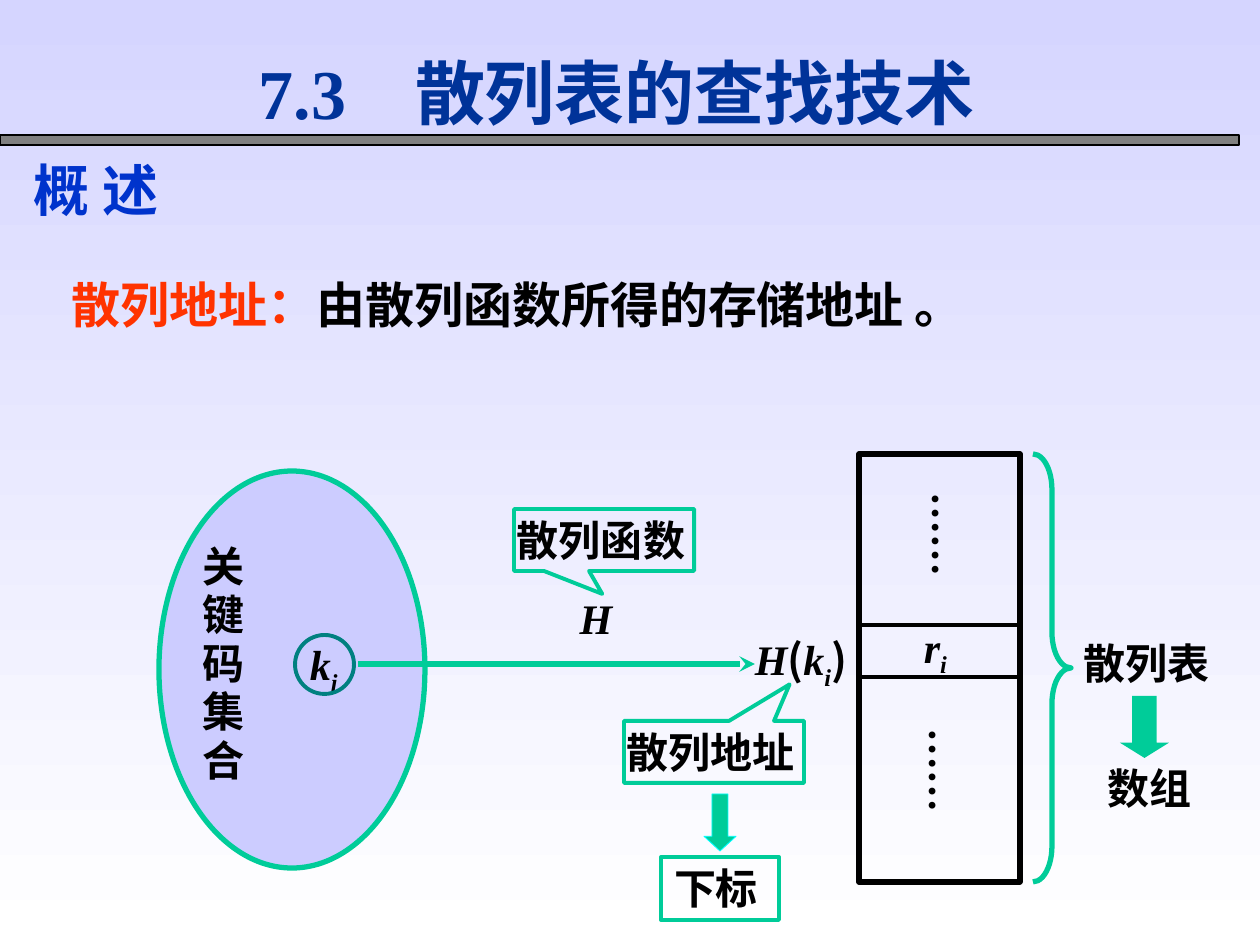
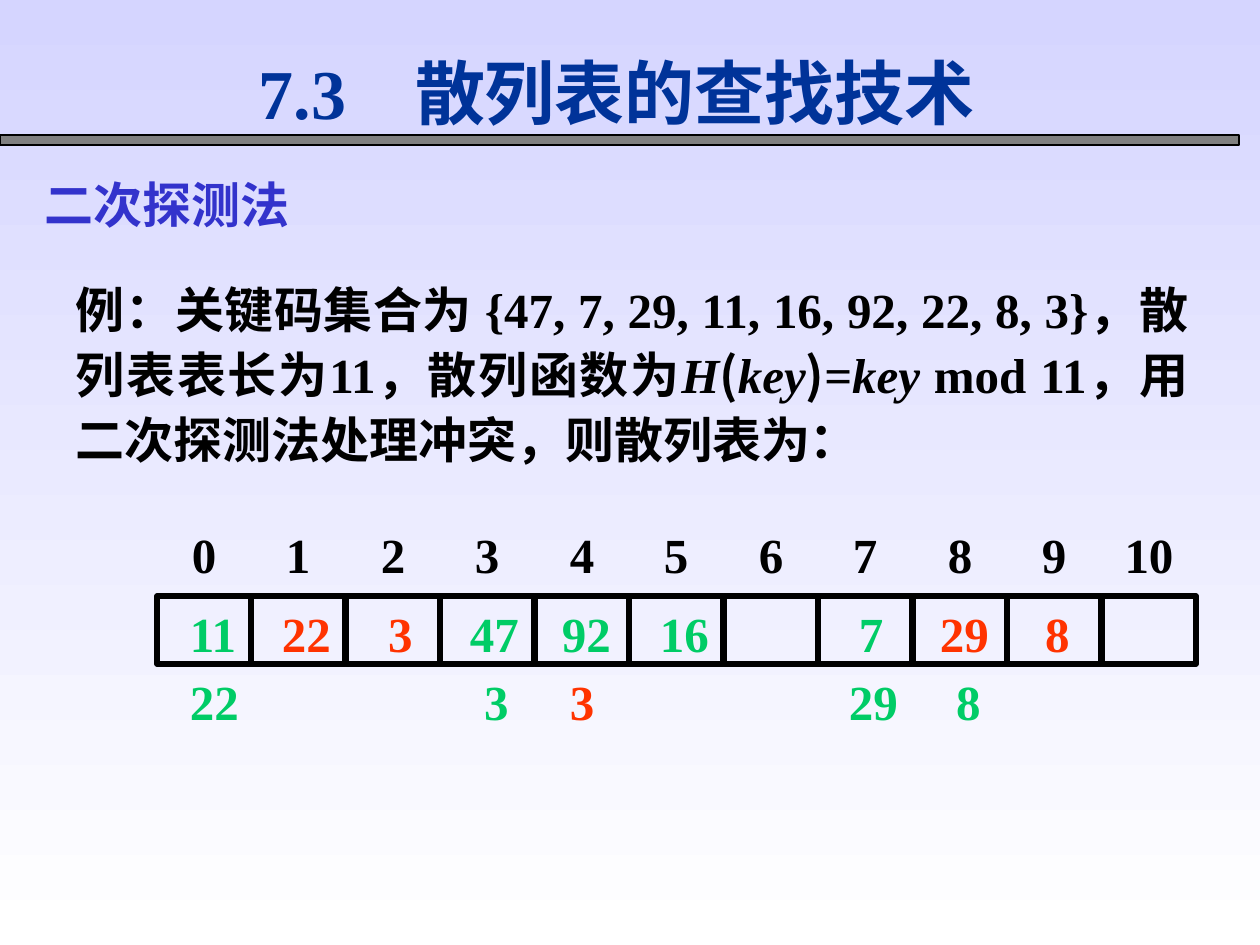
from lxml.etree import SubElement
from pptx import Presentation
from pptx.dml.color import RGBColor
from pptx.enum.shapes import MSO_CONNECTOR, MSO_SHAPE
from pptx.enum.text import MSO_ANCHOR, MSO_AUTO_SIZE, PP_ALIGN
from pptx.oxml import parse_xml
from pptx.oxml.ns import nsdecls, qn
from pptx.util import Inches, Pt

SCALE = Inches(1) / 126
COLOURS = {
    "sky": "D5D5FF", "white": "FFFFFF", "grey": "808080", "black": "000000",
    "title": "003399", "heading": "0033CC", "method": "3333CC",
    "red": "FF3300", "green": "00CC66", "teal": "00CC99",
    "dark teal": "008080", "cyan": "00FFFF", "lilac": "CCCCFF",
}
SERIF, SANS, CHINESE = "Times New Roman", "Arial", "Noto Sans CJK SC"
TITLE = "7.3\t散列表的查找技术"
TIGHT = (3, 0, 3, 0)
DOT_INSETS = (0, 3, 5, 3)
NO_INSETS = (0, 0, 0, 0)
ITALIC = {"italic": True}
SUBSCRIPT = {"italic": True, "subscript": True}
BRACKET = {"font": CHINESE}
CELL_COUNT, TABLE_LEFT, CELL_TOP = 11, 157, 596
KEYS = [
    ("11", 190, "green"), ("22", 282, "red"), ("3", 388, "red"),
    ("47", 470, "green"), ("92", 562, "green"), ("16", 660, "green"),
    ("7", 859, "green"), ("29", 940, "red"), ("8", 1045, "red"),
]
COLLISIONS = [
    ("22", 190, "green"), ("3", 484, "green"), ("3", 570, "red"),
    ("29", 849, "green"), ("8", 956, "green"),
]


def px(value):
    """Turn pixels into EMU."""
    return round(value * SCALE)


def colour_of(name):
    """Return the named colour."""
    return RGBColor.from_string(COLOURS[name])


def format_run(run, size, colour, font, italic=False, subscript=False, shadow=False):
    """Set the character format of one run."""
    run.font.size = Pt(size)
    run.font.bold = True
    run.font.italic = italic
    run.font.color.rgb = colour_of(colour)
    run.font.name = font
    properties = run._r.get_or_add_rPr()
    latin = properties.find(qn("a:latin"))
    latin.addnext(parse_xml(f'<a:ea {nsdecls("a")} typeface="{CHINESE}"/>'))
    if subscript:
        properties.set("baseline", "-25000")
    if shadow:
        latin.addprevious(parse_xml(
            f'<a:effectLst {nsdecls("a")}><a:outerShdw dist="25400" dir="2700000">'
            f'<a:srgbClr val="{COLOURS["grey"]}"/></a:outerShdw></a:effectLst>'))


def write(shape, runs, size=24, colour="black", font=SERIF, align=PP_ALIGN.LEFT,
          anchor=MSO_ANCHOR.TOP, insets=(13, 6, 13, 6), spacing=1.0,
          tabs=(), tab_align="l", vertical=False, shadow=False):
    """Fill a shape with one paragraph of formatted runs."""
    frame = shape.text_frame
    frame.word_wrap = True
    frame.auto_size = MSO_AUTO_SIZE.NONE
    frame.vertical_anchor = anchor
    frame.margin_left, frame.margin_top, frame.margin_right, frame.margin_bottom = map(px, insets)
    if vertical:
        frame._txBody.bodyPr.set("vert", "eaVert")
    paragraph = frame.paragraphs[0]
    if tabs:
        tab_list = SubElement(paragraph._p.get_or_add_pPr(), qn("a:tabLst"))
        for position in tabs:
            SubElement(tab_list, qn("a:tab"), pos=str(px(position)), algn=tab_align)
    paragraph.alignment = align
    paragraph.line_spacing = spacing
    paragraph.space_before = Pt(0)
    for item in [(runs, {})] if isinstance(runs, str) else runs:
        text, changes = item
        run = paragraph.add_run()
        run.text = text
        format_run(run, **{"size": size, "colour": colour, "font": font,
                           "shadow": shadow, **changes})


def place(shape, left, top, width, height):
    """Move and size a shape in pixels."""
    shape.left, shape.top, shape.width, shape.height = map(px, (left, top, width, height))


def add_text(slide, box, runs, **text_format):
    """Add a text box."""
    write(slide.shapes.add_textbox(*map(px, box)), runs, **text_format)


def add_figure(slide, kind, box, line=None, width=2.25, fill=None, adjustments=()):
    """Add a preset shape with its fill and outline."""
    shape = slide.shapes.add_shape(kind, *map(px, box))
    shape.shadow.inherit = False
    for index, value in enumerate(adjustments):
        shape.adjustments[index] = value
    if fill:
        shape.fill.solid()
        shape.fill.fore_color.rgb = colour_of(fill)
    else:
        shape.fill.background()
    if line:
        shape.line.color.rgb = colour_of(line)
        shape.line.width = Pt(width)
    else:
        shape.line.fill.background()
    return shape


def add_line(slide, start, end, colour, width, arrow=False):
    """Add a straight line, with an arrowhead if asked."""
    connector = slide.shapes.add_connector(MSO_CONNECTOR.STRAIGHT, *map(px, start + end))
    connector.line.color.rgb = colour_of(colour)
    connector.line.width = Pt(width)
    if arrow:
        SubElement(connector.line._get_or_add_ln(), qn("a:tailEnd"), type="stealth")
    SubElement(connector.element.spPr, qn("a:effectLst"))


def add_callout(slide, box, text, adjustments):
    """Add a callout that names a part of the diagram."""
    callout = add_figure(slide, MSO_SHAPE.RECTANGULAR_CALLOUT, box, "teal",
                         adjustments=adjustments)
    write(callout, text, font=SANS, anchor=MSO_ANCHOR.MIDDLE, insets=(3, 1, 3, 1))


def add_content_slide(presentation, body_box, body_runs, **body_format):
    """Add a slide with the shared title and a body paragraph."""
    slide = presentation.slides.add_slide(presentation.slide_layouts[1])
    title, body = slide.placeholders
    place(title, 246, 44, 757, 95)
    write(title, TITLE, size=40, colour="title", anchor=MSO_ANCHOR.MIDDLE, tabs=[156])
    place(body, *body_box)
    properties = body.text_frame.paragraphs[0]._p.get_or_add_pPr()
    properties.set("marL", "0")
    properties.set("indent", "0")
    SubElement(properties, qn("a:buNone"))
    write(body, body_runs, size=28, **body_format)
    return slide


def decorate_master(presentation, slide):
    """Give the master its gradient and the bar under the title."""
    master = presentation.slide_master
    fill = master.background.fill
    fill.gradient()
    fill.gradient_angle = 270
    for stop, name in zip(fill.gradient_stops, ("sky", "white")):
        stop.color.rgb = colour_of(name)
    bar = add_figure(slide, MSO_SHAPE.RECTANGLE, (0, 135, 1239, 10), "black", 0.75, "grey")
    bar.element.nvSpPr.cNvPr.set("id", "20")
    master.shapes.element.append(bar.element)


def draw_key_set(slide):
    """Draw the key set and the hash arrow that leaves it."""
    add_figure(slide, MSO_SHAPE.OVAL, (159, 471, 266, 397), "teal", 3, "lilac")
    add_text(slide, (200, 544, 43, 242), "关键码集合", align=PP_ALIGN.JUSTIFY,
             insets=TIGHT, spacing=0.96)
    add_text(slide, (307, 639, 50, 45), [("k", ITALIC), ("i", SUBSCRIPT)],
             insets=TIGHT, spacing=0.96)
    add_figure(slide, MSO_SHAPE.OVAL, (295, 635, 59, 59), "dark teal")
    add_text(slide, (462, 596, 268, 47), [("H", ITALIC)], align=PP_ALIGN.CENTER,
             insets=TIGHT, spacing=0.96)
    add_line(slide, (358, 664), (755, 664), "teal", 3, arrow=True)
    add_callout(slide, (514, 509, 180, 62), "散列函数", (-0.01, 0.87))


def draw_address(slide):
    """Draw the hash address and what it stands for."""
    add_text(slide, (752, 634, 102, 35),
             [("H", ITALIC), ("(", BRACKET), ("k", ITALIC), ("i", SUBSCRIPT), (")", BRACKET)],
             insets=TIGHT, spacing=0.96)
    add_callout(slide, (624, 721, 180, 62), "散列地址", (0.42, -1.09))
    add_figure(slide, MSO_SHAPE.DOWN_ARROW, (704, 794, 32, 57), "cyan", 0.5, "teal", (0.5, 0.46))
    subscript_box = add_figure(slide, MSO_SHAPE.RECTANGLE, (661, 857, 118, 63), "teal")
    write(subscript_box, "下标", font=SANS)


def draw_hash_table(slide):
    """Draw the hash table as a column with one marked record."""
    column = add_figure(slide, MSO_SHAPE.RECTANGLE, (859, 454, 161, 428), "black", 3)
    write(column, [("r", ITALIC), ("i", SUBSCRIPT)], align=PP_ALIGN.CENTER,
          anchor=MSO_ANCHOR.MIDDLE, insets=(0, 0, 8, 36))
    for y in (625, 677):
        add_line(slide, (859, y), (1020, y), "black", 2.25)
    for left, top in ((929, 490), (926, 726)):
        add_text(slide, (left, top, 47, 113), "……", insets=DOT_INSETS,
                 spacing=0.96, vertical=True)
    add_figure(slide, MSO_SHAPE.RIGHT_BRACE, (1033, 454, 38, 428), "teal", 3,
               adjustments=(0.94, 0.5))
    add_text(slide, (1071, 632, 152, 63), "散列表", font=SANS)
    add_figure(slide, MSO_SHAPE.DOWN_ARROW, (1120, 696, 49, 62), fill="teal",
               adjustments=(0.5, 0.31))
    add_text(slide, (1095, 757, 112, 63), "数组", font=SANS)


def draw_probe_table(slide):
    """Draw the numbered cells, their keys and the collisions below."""
    offsets = [189 * index // 2 for index in range(CELL_COUNT)]
    labels = "".join(f"\t{index}" for index in range(CELL_COUNT))
    add_text(slide, (TABLE_LEFT, 525, 1040, 59), labels, size=28, insets=NO_INSETS,
             tabs=[offset + 47 for offset in offsets], tab_align="ctr")
    for offset in offsets:
        add_figure(slide, MSO_SHAPE.RECTANGLE, (TABLE_LEFT + offset, CELL_TOP, 94, 68),
                   "black", 3)
    for top, numbers in ((603, KEYS), (671, COLLISIONS)):
        for text, left, colour in numbers:
            add_text(slide, (left, top, 32 * len(text), 59), text, size=28,
                     colour=colour, insets=NO_INSETS)


def main():
    """Build and save the presentation."""
    presentation = Presentation()
    presentation.slide_width, presentation.slide_height = px(1260), px(945)

    overview = add_content_slide(
        presentation, (59, 268, 1155, 72),
        [("散列地址：", {"colour": "red"}), ("由散列函数所得的存储地址 。", {})], shadow=True)
    decorate_master(presentation, overview)
    add_text(overview, (21, 149, 882, 81), "概 述", size=32, colour="heading",
             font=CHINESE, shadow=True)
    draw_key_set(overview)
    draw_hash_table(overview)
    draw_address(overview)

    probing = add_content_slide(
        presentation, (63, 268, 1138, 207),
        [("例：关键码集合为 {47, 7, 29, 11, 16, 92, 22, 8, 3}，散列表表长为11，散列函数为", {}),
         ("H", ITALIC), ("(", BRACKET), ("key", ITALIC), (")", BRACKET), ("=", {}),
         ("key", ITALIC), (" mod 11", {}),
         ("，用二次探测法处理冲突，则散列表为：", {"font": CHINESE})],
        align=PP_ALIGN.JUSTIFY, spacing=1.1)
    add_text(probing, (32, 168, 735, 72), "二次探测法", size=28, colour="method")
    draw_probe_table(probing)

    presentation.save("out.pptx")


if __name__ == "__main__":
    main()
